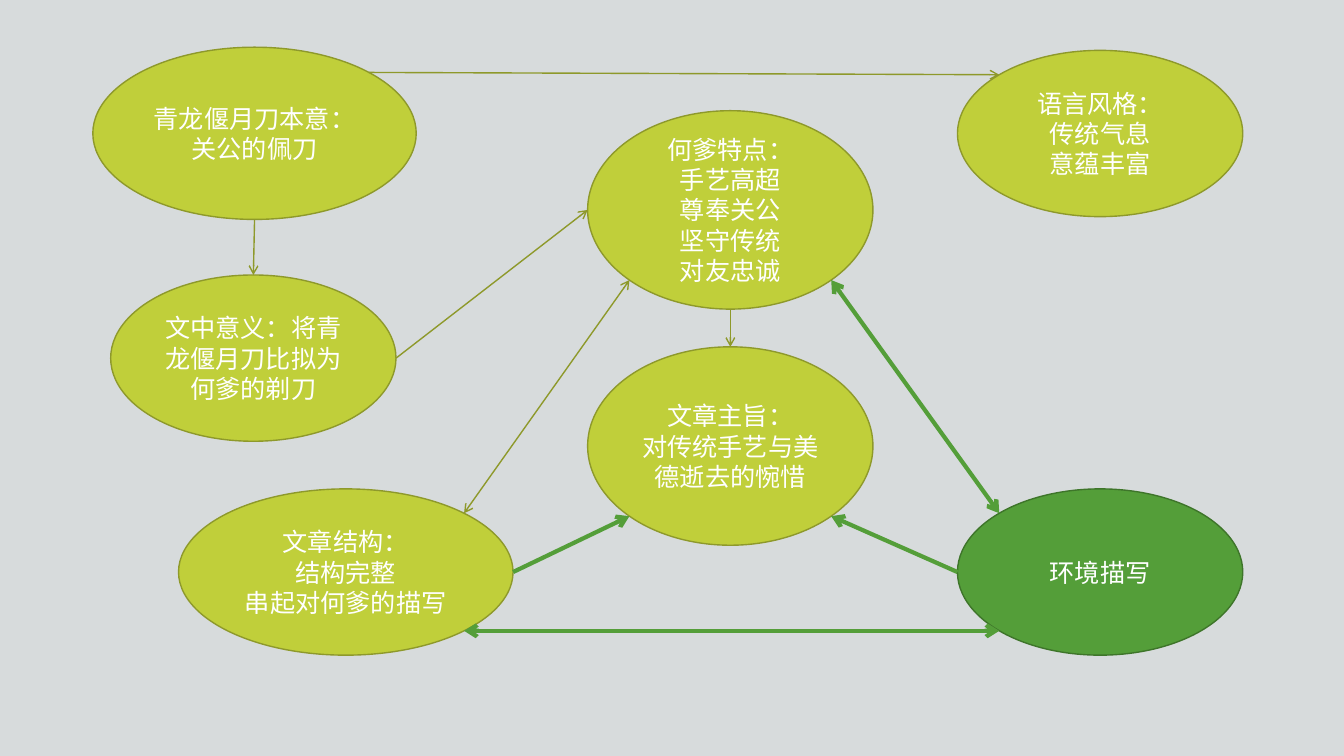
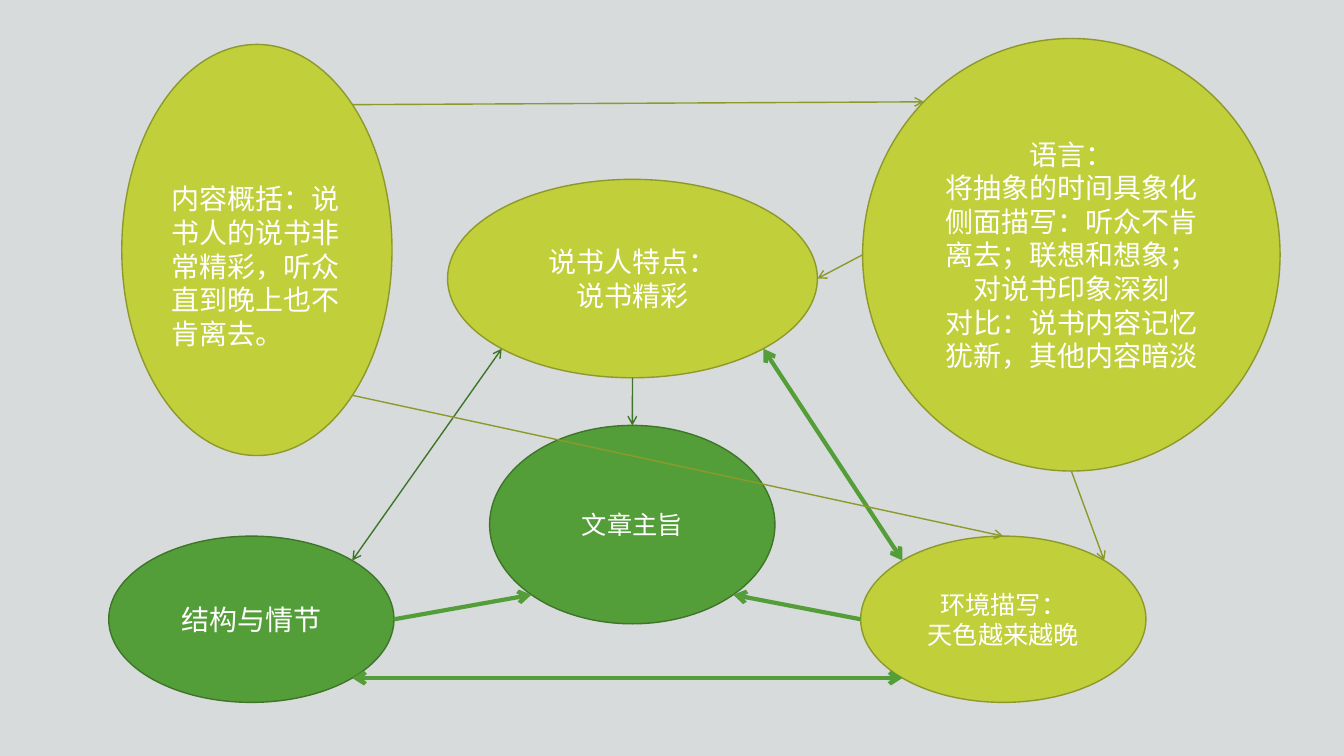
import math
from dataclasses import dataclass

import lxml.etree
import pptx
import pptx.dml.color
import pptx.enum.shapes
import pptx.enum.text
import pptx.oxml.ns
import pptx.util

Cm = pptx.util.Cm
Pt = pptx.util.Pt
qn = pptx.oxml.ns.qn
Align = pptx.enum.text.PP_ALIGN


@dataclass(frozen=True)
class Theme:
    background: str = "D7DBDC"
    lime: str = "C0CF3A"
    olive: str = "8E992B"
    green: str = "549E39"
    dark_green: str = "3E752A"
    white: str = "FFFFFF"
    latin_font: str = "Arial Narrow"
    chinese_font: str = "Noto Sans CJK SC"
    body_size: int = 18
    large_size: int = 20
    line_height: float = 1.2
    thin: int = 1
    thick: int = 3


THEME = Theme()
NODE_WIDTH, NODE_HEIGHT, TALL_HEIGHT = 7.19, 4.19, 5
LIME = (THEME.lime, THEME.olive)
GREEN = (THEME.green, THEME.dark_green)
OLIVE_ARROW = (THEME.olive, THEME.thin)
DARK_ARROW = (THEME.dark_green, THEME.thin)
THICK_ARROW = (THEME.green, THEME.thick)

# Connection sites of an ellipse, anticlockwise from the top.
SITES = ("top", "top left", "left", "bottom left",
         "bottom", "bottom right", "right", "top right")


def rgb(value):
    return pptx.dml.color.RGBColor.from_string(value)


def write_text(frame, text, *, size, align=Align.CENTER, color=THEME.white,
               latin_font=THEME.latin_font):
    """Write each line of the text as a paragraph."""
    for index, line in enumerate(text.split("\n")):
        para = frame.paragraphs[0] if index == 0 else frame.add_paragraph()
        para.alignment = align
        para.line_spacing = Pt(size * THEME.line_height)
        span = para.add_run()
        span.text = line
        span.font.name = latin_font
        span.font.size = Pt(size)
        span.font.color.rgb = rgb(color)
        east_asian = lxml.etree.Element(qn("a:ea"), typeface=THEME.chinese_font)
        span.font._element.find(qn("a:latin")).addnext(east_asian)


def add_node(page, text, left, top, width=NODE_WIDTH, height=NODE_HEIGHT, *,
             colors=LIME, size=THEME.body_size, extra_top=0, **text_format):
    """Add an ellipse with text; extra_top pushes the text down."""
    node = page.shapes.add_shape(pptx.enum.shapes.MSO_SHAPE.OVAL,
                                 Cm(left), Cm(top), Cm(width), Cm(height))
    fill, outline = colors
    node.shadow.inherit = False
    node.fill.solid()
    node.fill.fore_color.rgb = rgb(fill)
    node.line.color.rgb = rgb(outline)
    node.line.width = Pt(THEME.thin)
    frame = node.text_frame
    frame.word_wrap = True
    frame.vertical_anchor = pptx.enum.text.MSO_ANCHOR.MIDDLE
    frame.margin_top += Cm(extra_top)
    write_text(frame, text, size=size, **text_format)
    return node


def site_point(node, site):
    angle = math.radians(90 + 45 * SITES.index(site))
    x = node.left + node.width * (1 + math.cos(angle)) / 2
    y = node.top + node.height * (1 - math.sin(angle)) / 2
    return round(x), round(y)


def add_arrow(page, start, start_site, end, end_site, style=OLIVE_ARROW, both=False):
    """Join two ellipses at named sites, with an arrowhead at the end or at both."""
    arrow = page.shapes.add_connector(
        pptx.enum.shapes.MSO_CONNECTOR.STRAIGHT,
        *site_point(start, start_site), *site_point(end, end_site))
    color, width = style
    arrow.line.color.rgb = rgb(color)
    arrow.line.width = Pt(width)
    properties = arrow._element.spPr
    outline = properties.find(qn("a:ln"))
    for tag in ("a:headEnd", "a:tailEnd") if both else ("a:tailEnd",):
        lxml.etree.SubElement(outline, qn(tag), type="arrow")
    lxml.etree.SubElement(properties, qn("a:effectLst"))
    joints = arrow._element.nvCxnSpPr.cNvCxnSpPr
    for tag, node, site in (("a:stCxn", start, start_site),
                            ("a:endCxn", end, end_site)):
        lxml.etree.SubElement(joints, qn(tag), id=str(node.shape_id),
                              idx=str(SITES.index(site)))


def add_core_arrows(page, traits, theme, structure, setting, thin_style):
    """Link the four elements that both diagrams share."""
    add_arrow(page, setting, "left", theme, "bottom right", THICK_ARROW)
    add_arrow(page, structure, "right", theme, "bottom left", THICK_ARROW)
    add_arrow(page, traits, "bottom", theme, "top", thin_style)
    add_arrow(page, traits, "bottom left", structure, "top right", thin_style, both=True)
    add_arrow(page, traits, "bottom right", setting, "top left", THICK_ARROW, both=True)
    add_arrow(page, setting, "bottom left", structure, "bottom right",
              THICK_ARROW, both=True)


def build_blade_page(page):
    theme = add_node(page, "文章主旨：\n对传统手艺与美德逝去的惋惜",
                     14.81, 8.74, height=TALL_HEIGHT)
    structure = add_node(page, "文章结构：\n结构完整\n串起对何爹的描写",
                         4.5, 12.32, width=8.43)
    setting = add_node(page, "环境描写", 24.13, 12.32, colors=GREEN)
    traits = add_node(page, "何爹特点：\n手艺高超\n尊奉关公\n坚守传统\n对友忠诚",
                      14.81, 2.79, height=TALL_HEIGHT, latin_font=THEME.chinese_font)
    meaning = add_node(page, "文中意义：将青龙偃月刀比拟为何爹的剃刀", 2.79, 6.93)
    origin = add_node(page, "青龙偃月刀本意：关公的佩刀", 2.34, 1.19, 8.15, 4.34)
    language = add_node(page, "语言风格：\n传统气息\n意蕴丰富", 24.13, 1.27)

    add_core_arrows(page, traits, theme, structure, setting, OLIVE_ARROW)
    add_arrow(page, origin, "bottom", meaning, "top")
    add_arrow(page, meaning, "right", traits, "left")
    add_arrow(page, origin, "top right", language, "top left")


def build_storyteller_page(page):
    theme = add_node(page, "文章主旨", 12.34, 10.72, height=TALL_HEIGHT, colors=GREEN)
    setting = add_node(page, "环境描写：\n天色越来越晚", 21.69, 13.51)
    traits = add_node(page, "说书人特点：\n说书精彩", 11.28, 4.52, 9.32, TALL_HEIGHT,
                      size=THEME.large_size, latin_font=THEME.chinese_font)
    summary = add_node(page, "内容概括：说书人的说书非常精彩，听众直到晚上也不肯离去。",
                       3.07, 1.12, 6.81, 10.36, size=THEME.large_size,
                       align=Align.LEFT, extra_top=0.8)
    language = add_node(page, "语言：\n将抽象的时间具象化\n"
                        "侧面描写：听众不肯离去；联想和想象；对说书印象深刻\n"
                        "对比：说书内容记忆犹新，其他内容暗淡",
                        21.74, 0.97, 10.52, 10.9, size=THEME.large_size)
    structure = add_node(page, "结构与情节", 2.74, 13.51, colors=GREEN,
                         size=THEME.large_size)

    add_core_arrows(page, traits, theme, structure, setting, DARK_ARROW)
    add_arrow(page, language, "left", traits, "right")
    add_arrow(page, summary, "top right", language, "top left")
    add_arrow(page, language, "bottom", setting, "top right")
    add_arrow(page, summary, "bottom right", setting, "top")


def main():
    deck = pptx.Presentation()
    deck.slide_width, deck.slide_height = Cm(33.87), Cm(19.05)
    backdrop = deck.slide_master.background.fill
    backdrop.solid()
    backdrop.fore_color.rgb = rgb(THEME.background)
    blank = deck.slide_layouts[6]
    for build in (build_blade_page, build_storyteller_page):
        build(deck.slides.add_slide(blank))
    deck.save("out.pptx")


if __name__ == "__main__":
    main()
